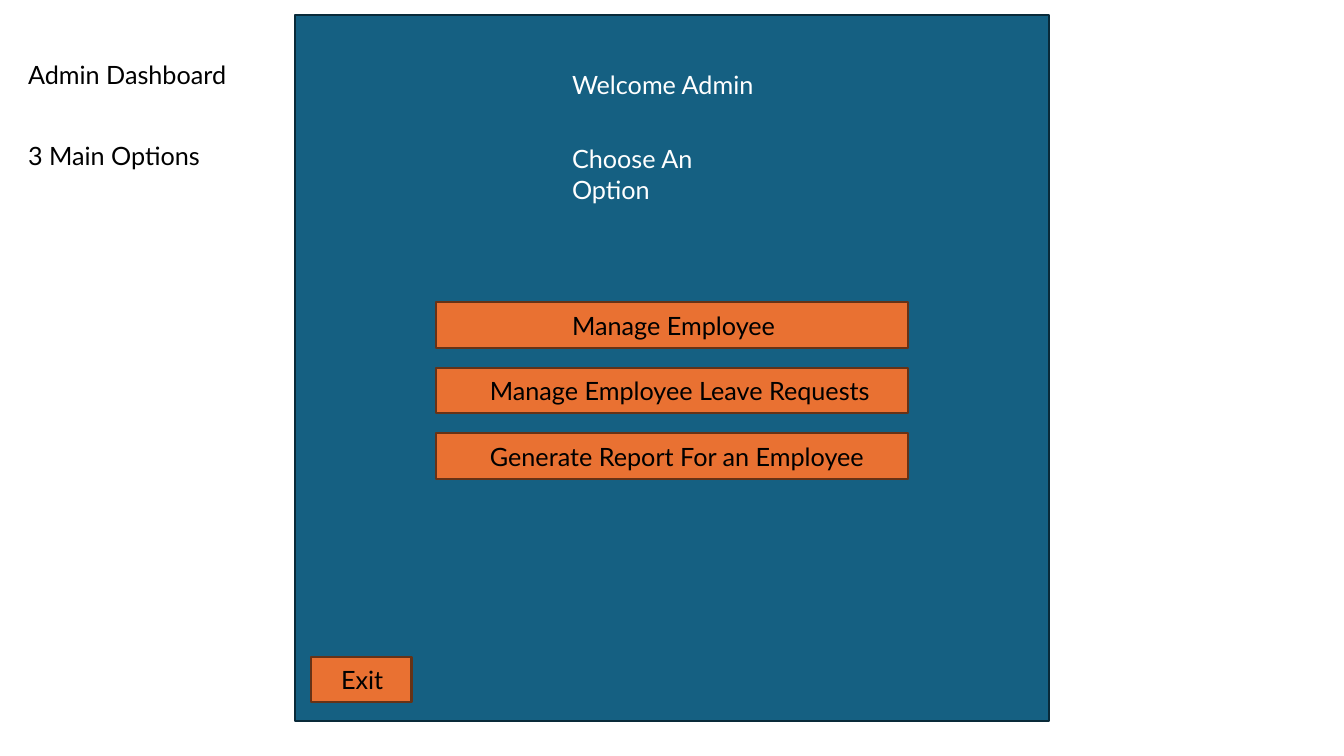
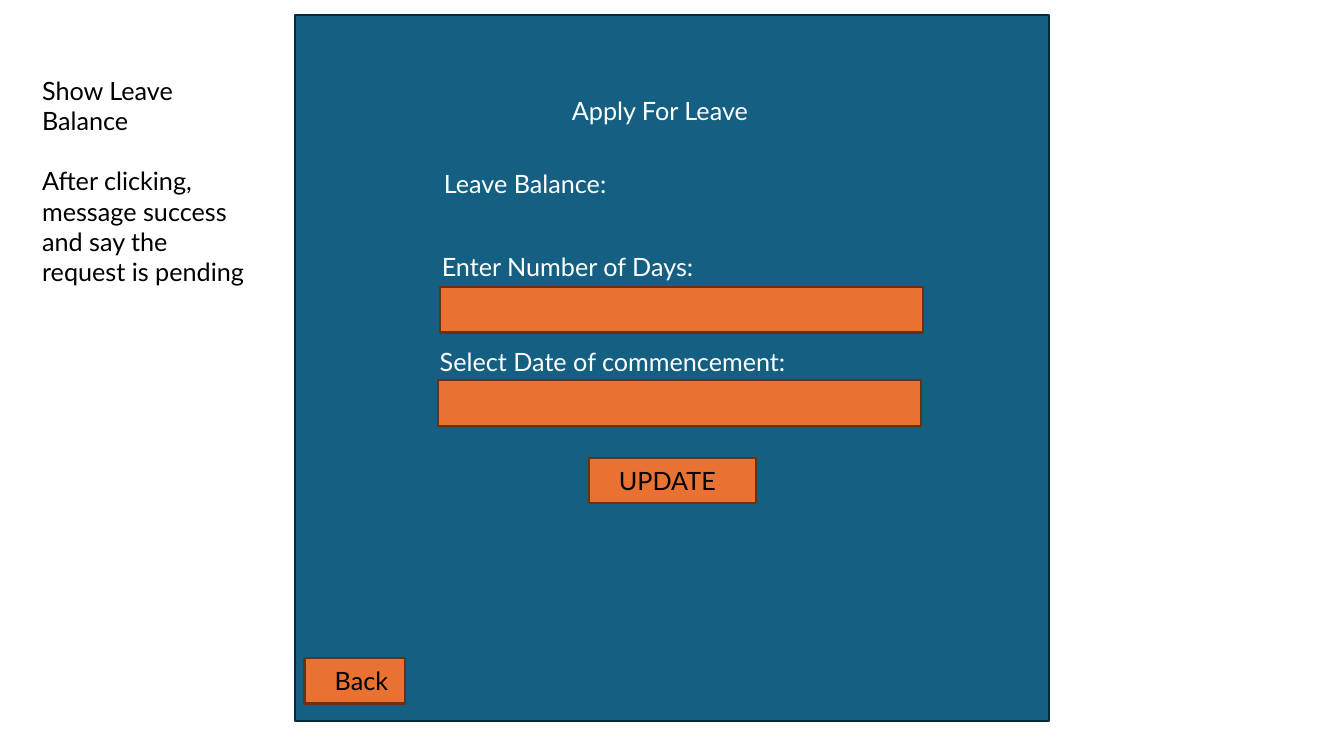
"""Build two wireframe slides of a leave management app: admin dashboard and leave form."""
from pptx import Presentation
from pptx.dml.color import RGBColor
from pptx.enum.shapes import MSO_SHAPE as Shape
from pptx.enum.text import MSO_ANCHOR as Anchor, MSO_AUTO_SIZE as AutoSize, PP_ALIGN as Align
from pptx.util import Pt

FONT, FONT_SIZE, LINE_HEIGHT = "Lato", 18, 21.6
BLACK, WHITE = "000000", "FFFFFF"
PANEL_FILL, PANEL_LINE = "156082", "092A39"
BUTTON_FILL, BUTTON_LINE = "E97132", "663216"
PANEL = (211, 10.8, 538.5, 504)
BUTTON_HEIGHT, LABEL_HEIGHT = 32.5, 29


def add_rectangle(slide, area, fill, line):
    shape = slide.shapes.add_shape(Shape.RECTANGLE, *map(Pt, area))
    shape.shadow.inherit = False
    shape.fill.solid()
    shape.fill.fore_color.rgb = RGBColor.from_string(fill)
    shape.line.color.rgb = RGBColor.from_string(line)
    shape.line.width = Pt(1.5)
    return shape


def write_text(shape, lines, color):
    frame = shape.text_frame
    frame.word_wrap = True
    for index, line in enumerate(lines):
        paragraph = frame.add_paragraph() if index else frame.paragraphs[0]
        paragraph.alignment = Align.LEFT
        paragraph.space_before = Pt(LINE_HEIGHT if index else 0)
        run = paragraph.add_run()
        run.text = line
        run.font.name = FONT
        run.font.size = Pt(FONT_SIZE)
        run.font.color.rgb = RGBColor.from_string(color)


dashboard = {
    "buttons": [
        ("Manage Employee", 311.5, 216, 337, 97.2),
        ("Manage Employee Leave Requests", 311.5, 262.6, 337, 38.4),
        ("Generate Report For an Employee", 311.5, 309.6, 337, 38.4),
        ("Exit", 222, 469, 72, 21.6),
    ],
    "labels": [
        (["Welcome Admin"], 401.5, 46, 157, WHITE),
        (["Choose An Option"], 401.5, 99, 157, WHITE),
        (["Admin Dashboard"], 13, 38.5, 158.5, BLACK),
        (["3 Main Options"], 13, 97, 158.5, BLACK),
    ],
}
leave_form = {
    "buttons": [
        ("", 314.5, 205, 345, 0),
        ("", 313, 271.5, 345, 0),
        ("UPDATE", 420.5, 327, 119.5, 21.6),
        ("Back", 217.5, 470, 72, 21.6),
    ],
    "labels": [
        (["Apply For Leave"], 401.5, 64.5, 224, WHITE),
        (["Leave Balance:"], 310, 116.5, 158.5, WHITE),
        (["Enter Number of Days:"], 308.5, 176, 201.5, WHITE),
        (["Select Date of commencement:"], 307, 244, 273, WHITE),
        (["Show Leave Balance",
          "After clicking, message success and say the request is pending"],
         23, 50, 158.5, BLACK),
    ],
}

presentation = Presentation()
presentation.slide_width, presentation.slide_height = Pt(960), Pt(540)

for screen in (dashboard, leave_form):
    slide = presentation.slides.add_slide(presentation.slide_layouts[6])
    add_rectangle(slide, PANEL, PANEL_FILL, PANEL_LINE)

    for caption, left, top, width, indent in screen["buttons"]:
        button = add_rectangle(slide, (left, top, width, BUTTON_HEIGHT), BUTTON_FILL, BUTTON_LINE)
        if caption:
            button.text_frame.margin_left = Pt(indent)
            button.text_frame.margin_right = 0
            button.text_frame.vertical_anchor = Anchor.MIDDLE
            write_text(button, [caption], BLACK)

    for lines, left, top, width, color in screen["labels"]:
        label = slide.shapes.add_textbox(Pt(left), Pt(top), Pt(width), Pt(LABEL_HEIGHT))
        label.text_frame.auto_size = AutoSize.SHAPE_TO_FIT_TEXT
        write_text(label, lines, color)

presentation.save("out.pptx")
